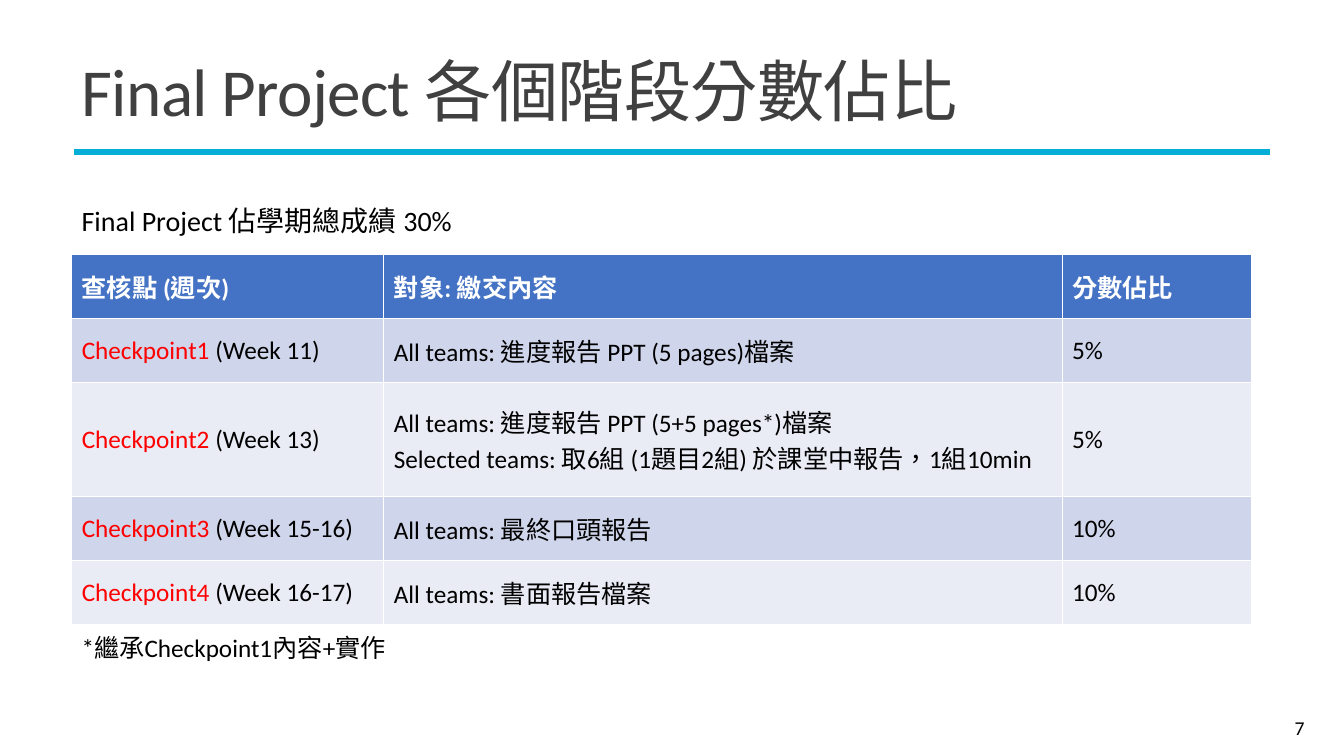
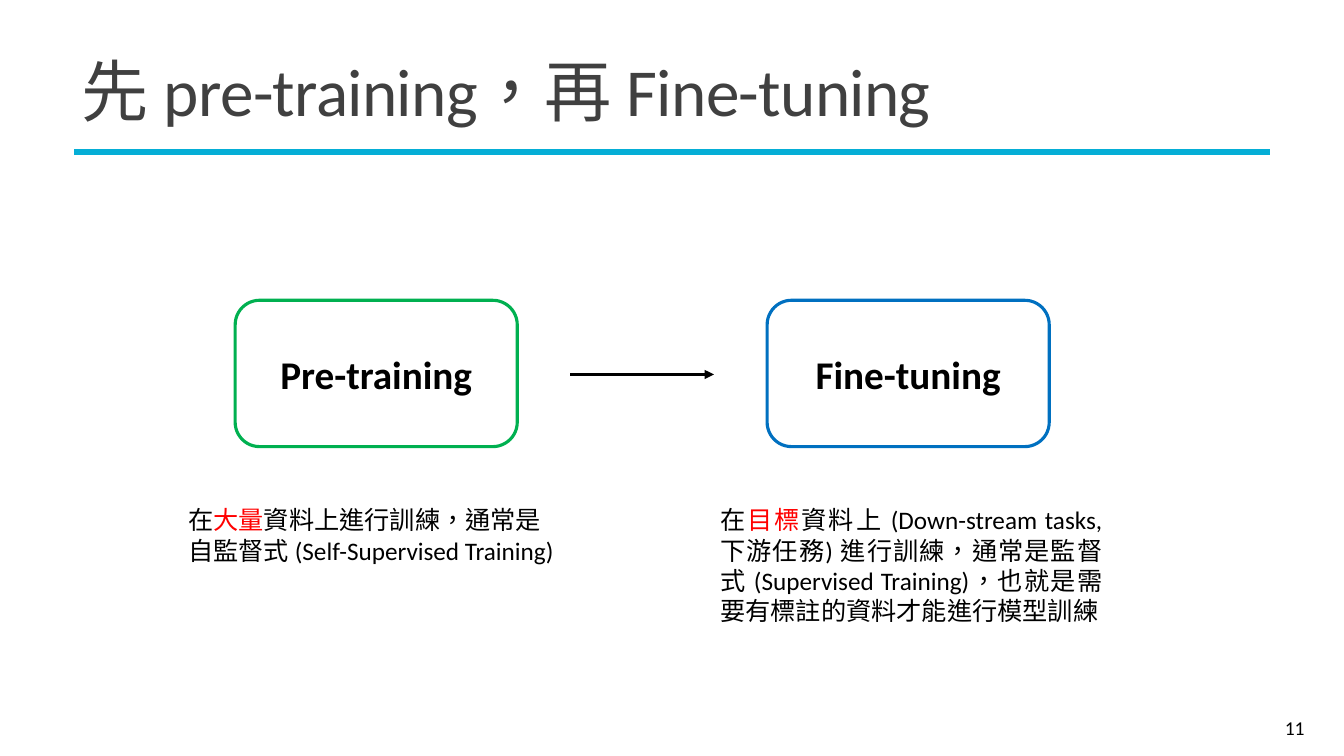
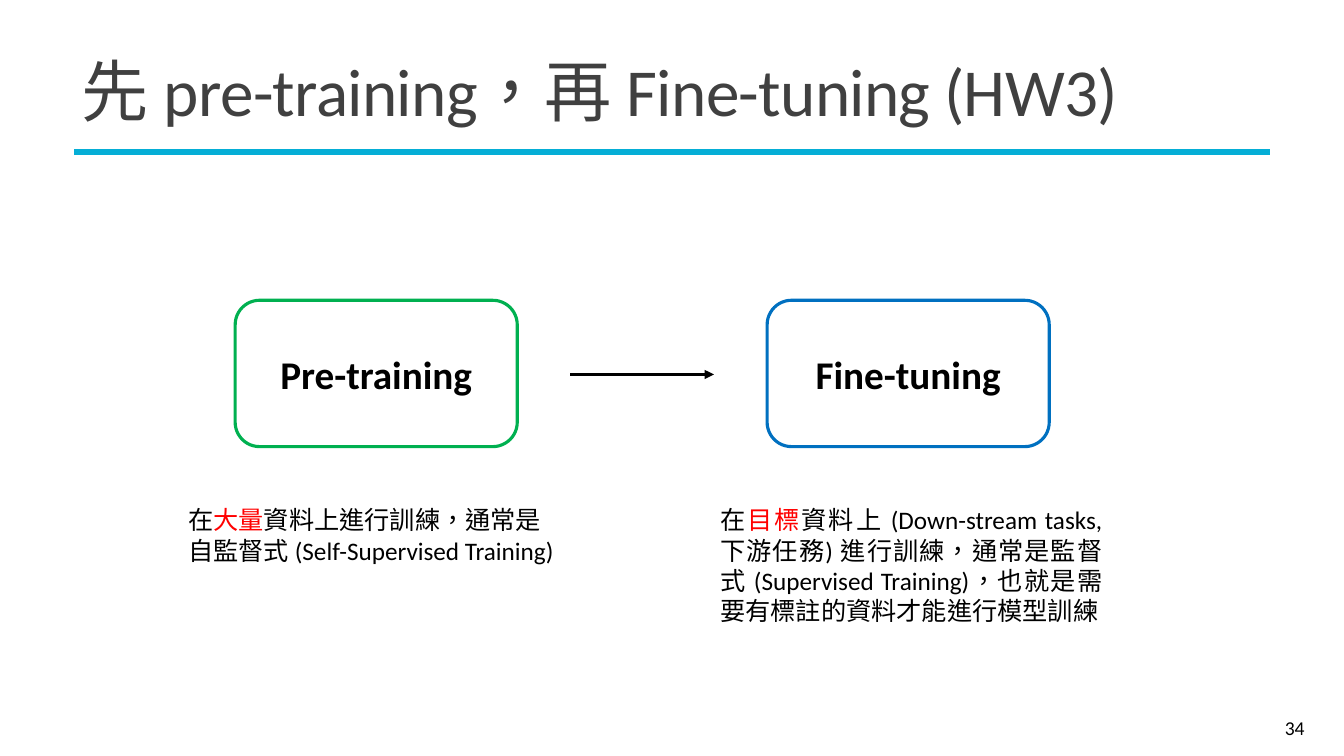
from lxml.etree import SubElement
from pptx import Presentation
from pptx.dml.color import RGBColor
from pptx.enum.shapes import MSO_CONNECTOR as Connector, MSO_SHAPE as Shape
from pptx.enum.text import MSO_ANCHOR as Anchor, MSO_AUTO_SIZE as AutoSize, PP_ALIGN as Align
from pptx.oxml.ns import qn
from pptx.util import Pt

COLORS = {
    "band": "05AED6",
    "title": "404040",
    "text": "000000",
    "accent": "FF0000",
    "header": "4472C4",
    "header text": "FFFFFF",
    "odd row": "CFD5EA",
    "even row": "E9EBF5",
    "pre-training": "00B050",
    "fine-tuning": "0070C0",
}
LATIN, CHINESE = "Calibri", "Noto Sans CJK TC"
LEFT = 51.2

SCORES = [
    ("查核點 (週次)", "對象: 繳交內容", "分數佔比"),
    ("Checkpoint1 |(Week 11)", "All teams: 進度報告 PPT (5 pages)檔案", "5%"),
    ("Checkpoint2 |(Week 13)",
     "All teams: 進度報告 PPT (5+5 pages*)檔案\n"
     "Selected teams: 取6組 (1題目2組) 於課堂中報告，1組10min", "5%"),
    ("Checkpoint3 |(Week 15-16)", "All teams: 最終口頭報告", "10%"),
    ("Checkpoint4 |(Week 16-17)", "All teams: 書面報告檔案", "10%"),
]
STAGES = [
    ("Pre-training", "pre-training", 282, Align.LEFT,
     [("在", "text"), ("大量", "accent"),
      ("資料上進行訓練，通常是自監督式 (Self-Supervised Training)", "text")]),
    ("Fine-tuning", "fine-tuning", 287, Align.JUSTIFY,
     [("在", "text"), ("目標", "accent"),
      ("資料上 (Down-stream tasks, 下游任務) 進行訓練，通常是監督式 "
       "(Supervised Training)，也就是需要有標註的資料才能進行模型訓練", "text")]),
]


def rgb(name):
    return RGBColor.from_string(COLORS[name])


def points(*lengths):
    return [Pt(length) for length in lengths]


def place(shape, left, top, width, height):
    shape.left, shape.top, shape.width, shape.height = points(left, top, width, height)


def add_span(para, text, size, color="text", bold=False, font=LATIN):
    span = para.add_run()
    span.text = text
    span.font.name = font
    span.font.size = Pt(size)
    span.font.bold = bold
    span.font.color.rgb = rgb(color)
    properties = span.font._element
    properties.set("lang", "zh-TW")
    SubElement(properties, qn("a:ea"), typeface=CHINESE)
    return span


def add_text(slide, at, spans, size, align=Align.LEFT, anchor=Anchor.TOP):
    """Add a wrapping text box; spans are (text, colour name) pairs."""
    frame = slide.shapes.add_textbox(*points(*at)).text_frame
    frame.word_wrap = True
    frame.vertical_anchor = anchor
    para = frame.paragraphs[0]
    para.alignment = align
    for text, color in spans:
        add_span(para, text, size, color)


def add_box(slide, kind, at, line_color, line_width):
    box = slide.shapes.add_shape(kind, *points(*at))
    box.shadow.inherit = False
    box.fill.background()
    box.line.color.rgb = rgb(line_color)
    box.line.width = Pt(line_width)
    return box


def add_arrow(slide, start, end, y):
    arrow = slide.shapes.add_connector(Connector.STRAIGHT, *points(start, y, end, y))
    arrow.line.color.rgb = rgb("text")
    arrow.line.width = Pt(2.25)
    properties = arrow.element.spPr
    SubElement(properties.find(qn("a:ln")), qn("a:tailEnd"), type="triangle")
    SubElement(properties, qn("a:effectLst"))


def prepare_layout(deck):
    """Give the title-only layout the shared title frame."""
    layout = deck.slide_layouts[5]
    title = layout.placeholders[0]
    place(title, LEFT, 28, 860, 81)
    title.text_frame.auto_size = AutoSize.NONE
    title.text_frame.vertical_anchor = Anchor.MIDDLE
    return layout


def add_band(slide):
    """Draw the band and hand it over to the layout that the slides share."""
    band = add_box(slide, Shape.RECTANGLE, (53.5, 106.8, 853, 3.6), "band", 1.25)
    band.fill.solid()
    band.fill.fore_color.rgb = rgb("band")
    SubElement(band.element.spPr.find(qn("a:ln")), qn("a:miter"), lim="800000")
    slide.slide_layout.shapes.element.append(band.element)


def add_page(deck, layout, title, number):
    """Add a slide with its number; title is a list of (text, font) pairs."""
    page = deck.slides.add_slide(layout)
    para = page.shapes.title.text_frame.paragraphs[0]
    para.alignment = Align.LEFT
    para.line_spacing = 0.85
    for text, font in title:
        span = add_span(para, text, 48, "title", font=font)
        span.font._element.set("spc", "-50")
    add_text(page, (836, 505.5, 103, 29), [(str(number), "text")], 14,
             Align.RIGHT, Anchor.MIDDLE)
    return page


def fill_cell(cell, text, is_header, fill):
    """Write one paragraph a line; the part before a bar is accented."""
    cell.fill.solid()
    cell.fill.fore_color.rgb = rgb(fill)
    cell.vertical_anchor = Anchor.MIDDLE
    cell.text_frame.text = "\n" * text.count("\n")
    for para, line in zip(cell.text_frame.paragraphs, text.split("\n")):
        accented, bar, plain = line.rpartition("|")
        if bar:
            add_span(para, accented, 18, "accent")
        add_span(para, plain, 18, "header text" if is_header else "text", is_header)


def add_score_table(page):
    widths, heights = (223, 484.5, 135), (46, 46, 81, 46, 46)
    table = page.shapes.add_table(
        len(heights), len(widths),
        *points(LEFT, 181.5, sum(widths), sum(heights))).table
    for column, width in zip(table.columns, widths):
        column.width = Pt(width)
    for index, (row, texts) in enumerate(zip(table.rows, SCORES)):
        row.height = Pt(heights[index])
        fill = "header" if index == 0 else "odd row" if index % 2 else "even row"
        for cell, text in zip(row.cells, texts):
            fill_cell(cell, text, index == 0, fill)


def add_stages(page):
    for index, (name, color, width, align, caption) in enumerate(STAGES):
        shift = 380 * index
        box = add_box(page, Shape.ROUNDED_RECTANGLE,
                      (168 + shift, 214.5, 201.5, 104.5), color, 2.25)
        para = box.text_frame.paragraphs[0]
        para.alignment = Align.CENTER
        add_span(para, name, 28, bold=True)
        add_text(page, (127.5 + shift, 357, width, 94), caption, 18, align)
    add_arrow(page, 407.5, 510, 267.5)


def main():
    deck = Presentation()
    deck.slide_width, deck.slide_height = points(960, 540)
    layout = prepare_layout(deck)

    page = add_page(deck, layout,
                    [("Final Project ", LATIN), ("各個階段分數佔比", CHINESE)], 7)
    add_band(page)
    add_score_table(page)
    add_text(page, (LEFT, 448, 480, 29), [("*繼承Checkpoint1內容+實作", "text")], 18)
    add_text(page, (LEFT, 142, 480, 32), [("Final Project 佔學期總成績 30%", "text")], 20)

    for ending, number in (("Fine-tuning", 11), ("Fine-tuning (HW3)", 34)):
        title = [("先", CHINESE), (" pre-training，", LATIN),
                 ("再 ", CHINESE), (ending, LATIN)]
        add_stages(add_page(deck, layout, title, number))

    deck.save("out.pptx")


if __name__ == "__main__":
    main()
